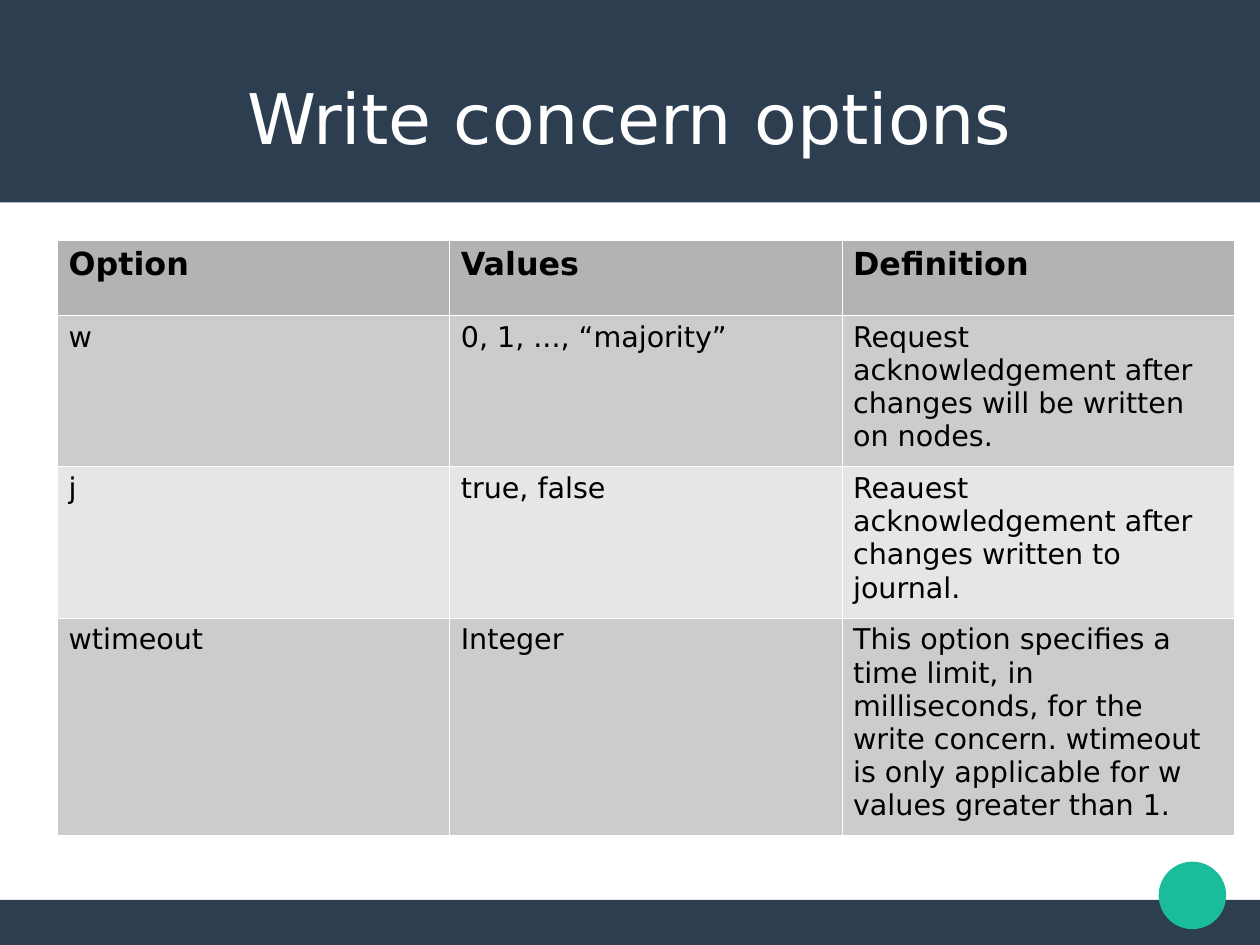
from lxml import etree
from pptx import Presentation
from pptx import util as u
from pptx.dml import color
from pptx.enum import shapes, text
from pptx.oxml import ns

WIDTH, HEIGHT = 793.7, 595.28
FOOTER_HEIGHT = 28.35
NAVY, TEAL, WHITE, BLACK = "2C3E50", "1ABC9C", "FFFFFF", "000000"
HEADER_FILL, ROW_FILLS = "B3B3B3", ("CCCCCC", "E6E6E6")
OPTIONS = [
    ("Option", "Values", "Definition"),
    ("w", "0, 1, ..., “majority”",
     "Request acknowledgement after changes will be written on nodes."),
    ("j", "true, false",
     "Reauest acknowledgement after changes written to journal."),
    ("wtimeout", "Integer",
     "This option specifies a time limit, in milliseconds, for the write concern. "
     "wtimeout is only applicable for w values greater than 1."),
]


def rgb(value):
    return color.RGBColor.from_string(value)


class SlideBuilder:
    """Holds the style and the current slide, and adds elements to it."""

    font_name = "DejaVu Sans"
    border_width = 0.06

    def __init__(self, slide):
        self.slide = slide

    def format_text(self, text_frame, size, ink, bold=False):
        for paragraph in text_frame.paragraphs:
            for run in paragraph.runs:
                run.font.name = self.font_name
                run.font.size = u.Pt(size)
                run.font.bold = bold
                run.font.color.rgb = rgb(ink)

    def shape(self, kind, left, top, width, height, fill):
        shape = self.slide.shapes.add_shape(
            kind, u.Pt(left), u.Pt(top), u.Pt(width), u.Pt(height))
        shape.shadow.inherit = False
        shape.fill.solid()
        shape.fill.fore_color.rgb = rgb(fill)
        shape.line.fill.background()

    def title(self, wording, left, top, width, height):
        box = self.slide.shapes.add_textbox(
            u.Pt(left), u.Pt(top), u.Pt(width), u.Pt(height))
        frame = box.text_frame
        frame.word_wrap = True
        frame.vertical_anchor = text.MSO_ANCHOR.MIDDLE
        frame.margin_left = frame.margin_right = 0
        frame.margin_top = frame.margin_bottom = 0
        frame.text = wording
        frame.paragraphs[0].alignment = text.PP_ALIGN.CENTER
        self.format_text(frame, 44, WHITE)

    def borders(self, cell):
        properties = cell._tc.get_or_add_tcPr()
        for side in ("a:lnL", "a:lnR", "a:lnT", "a:lnB"):
            line = etree.SubElement(properties, ns.qn(side),
                                    w=str(u.Pt(self.border_width)))
            fill = etree.SubElement(line, ns.qn("a:solidFill"))
            etree.SubElement(fill, ns.qn("a:srgbClr"), val=WHITE)

    def table(self, rows, left, top, column_width, row_heights):
        columns = len(rows[0])
        table = self.slide.shapes.add_table(
            len(rows), columns, u.Pt(left), u.Pt(top),
            u.Pt(column_width * columns), u.Pt(sum(row_heights))).table
        table.horz_banding = False
        for column in table.columns:
            column.width = u.Pt(column_width)
        for index, (values, height) in enumerate(zip(rows, row_heights)):
            header = index == 0
            table.rows[index].height = u.Pt(height)
            for cell, value in zip(table.rows[index].cells, values):
                self.borders(cell)
                cell.fill.solid()
                cell.fill.fore_color.rgb = rgb(
                    HEADER_FILL if header else ROW_FILLS[(index - 1) % 2])
                cell.text_frame.text = value
                self.format_text(cell.text_frame, 20 if header else 18, BLACK, header)


def main():
    presentation = Presentation()
    presentation.slide_width = u.Pt(WIDTH)
    presentation.slide_height = u.Pt(HEIGHT)
    builder = SlideBuilder(presentation.slides.add_slide(presentation.slide_layouts[6]))
    rectangle = shapes.MSO_SHAPE.RECTANGLE
    builder.shape(rectangle, 0, HEIGHT - FOOTER_HEIGHT, WIDTH, FOOTER_HEIGHT, NAVY)
    builder.shape(rectangle, 0, 0, WIDTH, 127.56, NAVY)
    builder.shape(shapes.MSO_SHAPE.OVAL, 729.9, 542.8, 42.52, 42.52, TEAL)
    builder.title("Write concern options", 39.68, 23.8, 714.3, 99.2)
    builder.table(OPTIONS, 36, 151.2, 247.1, (47.4, 95.2, 95.4, 133))
    presentation.save("out.pptx")


if __name__ == "__main__":
    main()
